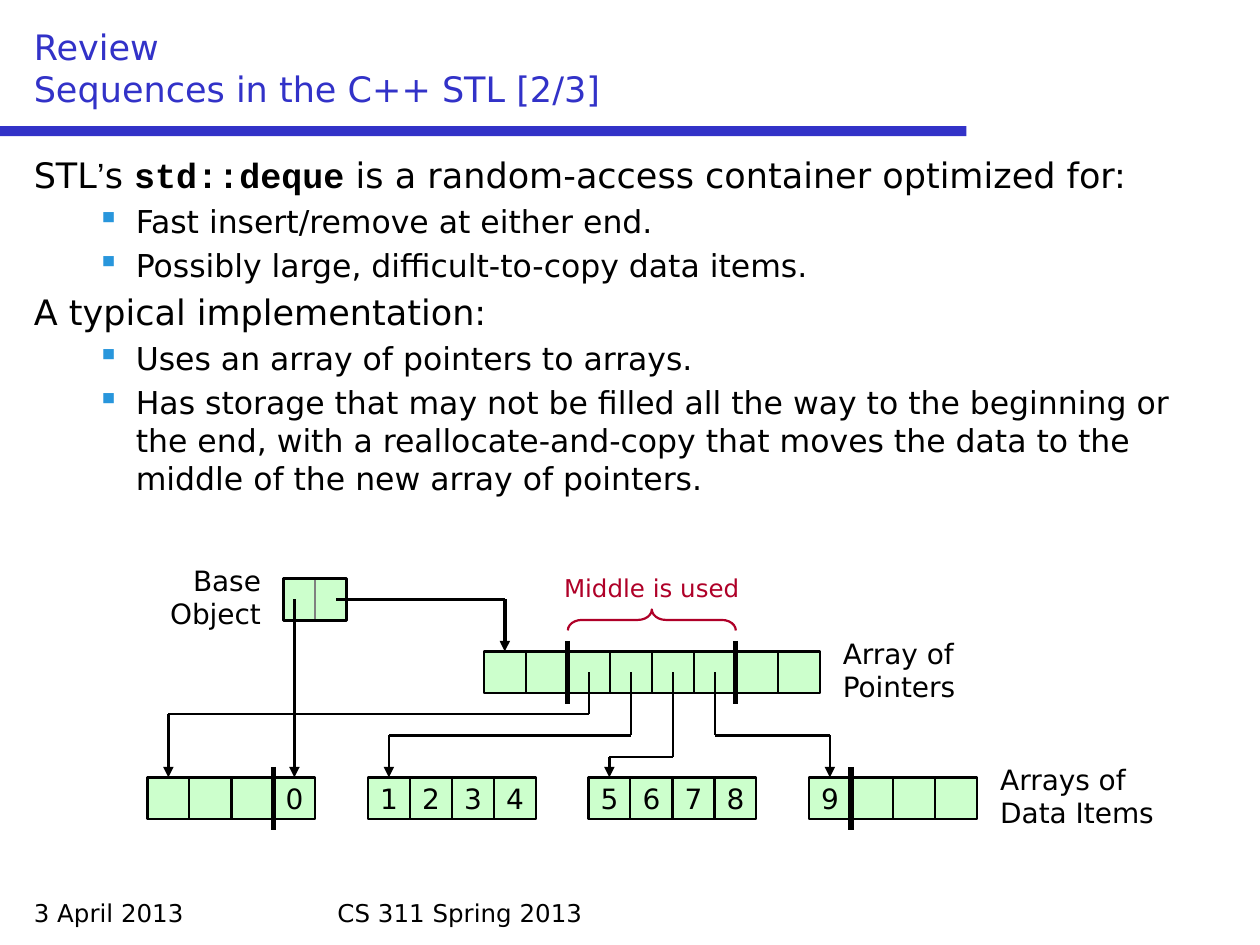
from lxml import etree
from pptx import Presentation
from pptx.dml.color import RGBColor
from pptx.enum.shapes import MSO_CONNECTOR, MSO_SHAPE
from pptx.enum.text import MSO_ANCHOR, PP_ALIGN
from pptx.oxml.ns import qn
from pptx.util import Inches, Pt

BLACK = RGBColor(0, 0, 0)
GREY = RGBColor(0x80, 0x80, 0x80)
BLUE = RGBColor(0x32, 0x32, 0xC8)
SKY = RGBColor(0x28, 0x96, 0xDC)
GREEN = RGBColor(0xCC, 0xFF, 0xCC)
RED = RGBColor(0xAF, 0x00, 0x28)
FONT = "DejaVu Sans"
CELL = 1 / 3  # side of one array cell, in inches


def style(run, size, color=BLACK, name=FONT, bold=False):
    font = run.font
    font.size, font.name, font.bold = Pt(size), name, bold
    font.color.rgb = color


def add_text(slide, box, text, size, color=BLACK, align=PP_ALIGN.LEFT, anchor=MSO_ANCHOR.TOP):
    frame = slide.shapes.add_textbox(*map(Inches, box)).text_frame
    frame.word_wrap = True
    frame.vertical_anchor = anchor
    frame.text = text
    for para in frame.paragraphs:
        para.alignment = align
        for run in para.runs:
            style(run, size, color)
    return frame


def add_box(slide, box, fill=GREEN, line=BLACK, width=1.25, kind=MSO_SHAPE.RECTANGLE):
    shape = slide.shapes.add_shape(kind, *map(Inches, box))
    shape.shadow.inherit = False
    if fill is None:
        shape.fill.background()
    else:
        shape.fill.solid()
        shape.fill.fore_color.rgb = fill
    if line is None:
        shape.line.fill.background()
    else:
        shape.line.color.rgb = line
        shape.line.width = Pt(width)
    return shape


def add_line(slide, start, end, width=1.25, target=None):
    """Draw a line; with a target, end it as an arrow on the target's top."""
    line = slide.shapes.add_connector(MSO_CONNECTOR.STRAIGHT, *map(Inches, (*start, *end)))
    line.line.color.rgb = BLACK
    line.line.width = Pt(width)
    props = line._element.spPr
    if target is not None:
        line.end_connect(target, 0)
        etree.SubElement(props.get_or_add_ln(), qn("a:tailEnd"), type="triangle")
    etree.SubElement(props, qn("a:effectLst"))


def add_path(slide, points, target, width=1.25):
    """Join the points by lines, the last one an arrow to the target."""
    last = len(points) - 2
    for i, (start, end) in enumerate(zip(points, points[1:])):
        add_line(slide, start, end, width, target if i == last else None)


def add_cells(slide, left, top, labels):
    cells = []
    for i, label in enumerate(labels):
        cell = add_box(slide, (left + i * CELL, top, CELL, CELL))
        if label:
            frame = cell.text_frame
            frame.word_wrap = False
            frame.vertical_anchor = MSO_ANCHOR.MIDDLE
            frame.text = label
            frame.paragraphs[0].alignment = PP_ALIGN.CENTER
            style(frame.paragraphs[0].runs[0], 16)
        cells.append(cell)
    return cells


def add_mark(slide, x, top):
    """Draw the thick bar where the used cells begin or end."""
    add_line(slide, (x, top - CELL / 4), (x, top + CELL * 1.25), 3)


def add_header(slide, left, top, width):
    add_box(slide, (0, top + 0.83, 7.67, 0.08), BLUE, None)
    add_text(slide, (left, top, width, 0.75), "Review\vSequences in the C++ STL [2/3]",
             20, BLUE, anchor=MSO_ANCHOR.BOTTOM)


def add_body(slide, box):
    rows = [
        (0, [("STL", FONT), ("’", "Arial"), ("s ", FONT), ("std::deque", "Courier New"),
             (" is a random-access container optimized for:", FONT)]),
        (1, [("Fast insert/remove at either end.", FONT)]),
        (1, [("Possibly large, difficult-to-copy data items.", FONT)]),
        (0, [("A typical implementation:", FONT)]),
        (1, [("Uses an array of pointers to arrays.", FONT)]),
        (1, [("Has storage that may not be filled all the way to the beginning or the end, "
              "with a reallocate-and-copy that moves the data to the middle of the new "
              "array of pointers.", FONT)]),
    ]
    frame = add_text(slide, box, "", 20)
    for i, (level, parts) in enumerate(rows):
        para = frame.add_paragraph() if i else frame.paragraphs[0]
        size = 18 if level else 20
        para.level = level
        para.space_before = Pt(size * 0.2)
        for text, name in parts:
            run = para.add_run()
            run.text = text
            style(run, size, name=name, bold=name == "Courier New")
        props = para._p.get_or_add_pPr()
        margin, indent = (0.81, -0.31) if level else (0.38, -0.38)
        props.set("marL", str(Inches(margin)))
        props.set("indent", str(Inches(indent)))
        if level:
            color = etree.SubElement(props, qn("a:buClr"))
            etree.SubElement(color, qn("a:srgbClr"), val=str(SKY))
            etree.SubElement(props, qn("a:buChar"), char="▪")
        else:
            etree.SubElement(props, qn("a:buNone"))


def add_base(slide, left, top):
    for i in range(2):
        add_box(slide, (left + i * 0.25, top, 0.25, CELL), line=GREY, width=0.75)
    add_box(slide, (left, top, 0.5, CELL), None, width=2)
    add_text(slide, (left - 1.08, top - 0.17, 1, 0.64), "Base Object", 16, align=PP_ALIGN.RIGHT)


def add_pointers(slide, left, top):
    cells = add_cells(slide, left, top, [""] * 8)
    for i in (2, 6):
        add_mark(slide, left + i * CELL, top)
    mid = left + 4 * CELL
    add_text(slide, (mid - 1, top - 0.67, 2, 0.34), "Middle is used", 14, RED, PP_ALIGN.CENTER)
    thick, span = CELL / 2, 4 * CELL
    brace = add_box(slide, (mid - thick / 2, top - 0.25 - span / 2, thick, span),
                    None, RED, kind=MSO_SHAPE.RIGHT_BRACE)
    brace.rotation = 270
    brace.adjustments[0] = 0.67
    add_text(slide, (left + 2.75, top - 0.17, 1.25, 0.64), "Array of Pointers", 16)
    return cells


def add_data(slide, left, top):
    groups = [["", "", "", "0"], ["1", "2", "3", "4"], ["5", "6", "7", "8"], ["9", "", "", ""]]
    step = 1.75
    arrays = [add_cells(slide, left + i * step, top, group) for i, group in enumerate(groups)]
    add_mark(slide, left + 3 * CELL, top)
    add_mark(slide, left + 3 * step + CELL, top)
    add_text(slide, (left + 6.67, top - 0.17, 1.5, 0.64), "Arrays of Data Items", 16)
    return arrays, step


def add_diagram(slide, left, top):
    base, row, data = (left + 1.08, top + 0.17), (left + 2.67, top + 0.75), (left, top + 1.75)
    add_base(slide, *base)
    pointers = add_pointers(slide, *row)
    arrays, step = add_data(slide, *data)
    half = CELL / 2

    for i, drop in enumerate((0.33, 0.5, 0.67, 0.5)):
        x, y = row[0] + (i + 2) * CELL + half, row[1] + half
        goal = data[0] + i * step + half
        add_path(slide, [(x, y), (x, y + drop), (goal, y + drop), (goal, data[1])], arrays[i][0])

    y = base[1] + half
    first, item = row[0] + half, data[0] + 3 * CELL + half
    add_path(slide, [(base[0] + 0.42, y), (first, y), (first, row[1])], pointers[0], 2)
    add_path(slide, [(item, y), (item, data[1])], arrays[0][3], 2)


def add_footer(slide, left, top):
    add_text(slide, (left, top, 2.33, 0.33), "3 April 2013", 14)
    add_text(slide, (left + 2.41, top, 4.83, 0.33), "CS 311 Spring 2013", 14)


def main():
    deck = Presentation()
    deck.slide_width, deck.slide_height = Inches(10), Inches(7.5)
    slide = deck.slides.add_slide(deck.slide_layouts[6])
    add_header(slide, 0.17, 0.17, 9.67)
    add_body(slide, (0.17, 1.17, 9.67, 5.83))
    add_diagram(slide, 1.17, 4.42)
    add_footer(slide, 0.17, 7.08)
    deck.save("out.pptx")


if __name__ == "__main__":
    main()
